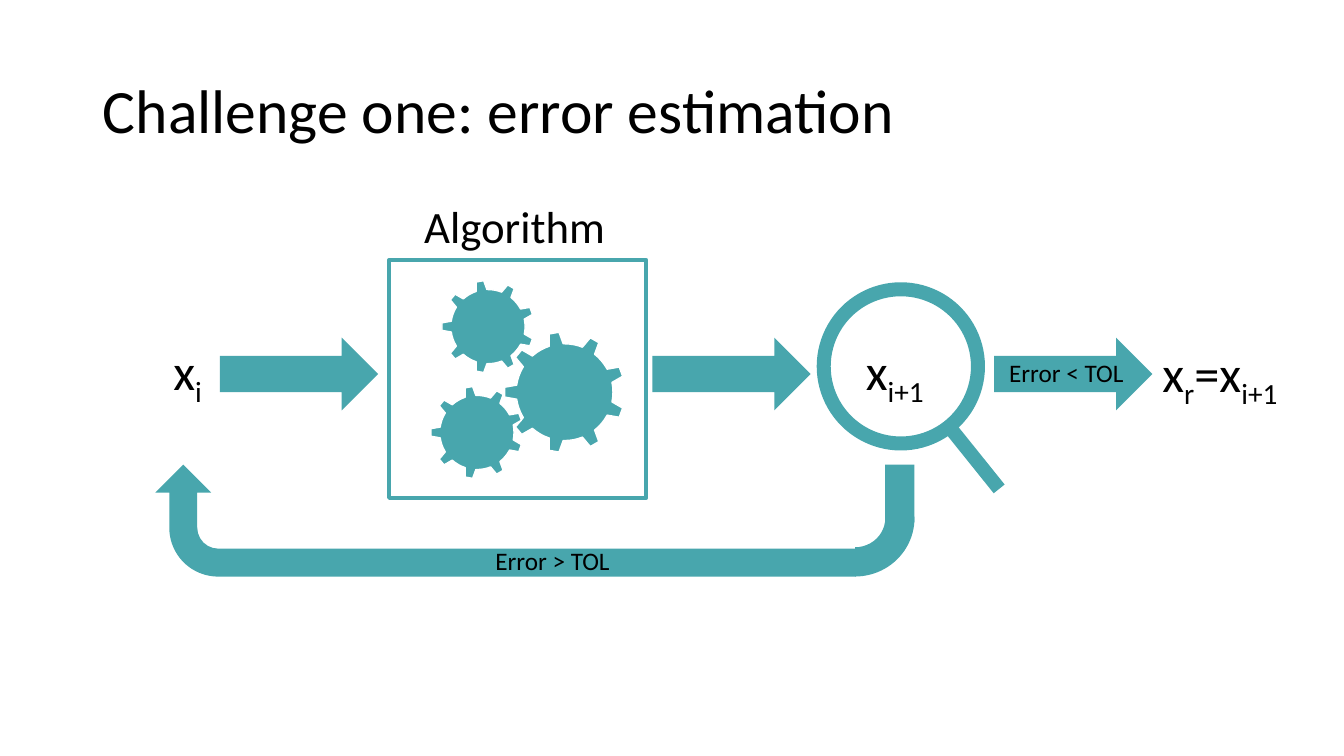
from lxml import etree
from pptx import Presentation
from pptx.dml.color import RGBColor
from pptx.enum.shapes import MSO_CONNECTOR, MSO_SHAPE
from pptx.enum.text import MSO_ANCHOR, PP_ALIGN
from pptx.oxml.ns import qn
from pptx.util import Inches, Pt

TEAL = RGBColor(0x48, 0xA6, 0xAD)
WHITE = RGBColor(0xFF, 0xFF, 0xFF)
BLACK = RGBColor(0, 0, 0)
RECT, OVAL, GEAR = MSO_SHAPE.RECTANGLE, MSO_SHAPE.OVAL, MSO_SHAPE.GEAR_9
ARROW, BENT, ARC = MSO_SHAPE.RIGHT_ARROW, MSO_SHAPE.BENT_ARROW, MSO_SHAPE.BLOCK_ARC
LEFT, MID = PP_ALIGN.LEFT, PP_ALIGN.CENTER
LINE = MSO_CONNECTOR.STRAIGHT
TITLE_ONLY = 5
CELL = 1 / 3  # inches: the slide is 40 columns by 22.5 rows


def grid(*cells):
    return [Inches(n * CELL) for n in cells]


def assign(item, values):
    for key, value in values.items():
        setattr(item, key, value)


class Board:
    """Holds the style and the current slide."""

    def __init__(self, deck):
        self.slide = deck.slides.add_slide(deck.slide_layouts[TITLE_ONLY])
        self.shapes = self.slide.shapes
        self.face = "Calibri"

    def label(self, frame, parts, size, align=LEFT, **layout):
        """Every second part is a subscript."""
        assign(frame, {"word_wrap": True, **layout})
        para = frame.paragraphs[0]
        para.alignment = align
        for n, part in enumerate(parts):
            run = para.add_run()
            run.text = part
            assign(run.font, {"name": self.face, "size": Pt(size)})
            run.font.color.rgb = BLACK
            if n % 2:
                run.font._element.set("baseline", "-25000")
        return para

    def title(self, text, box):
        head = self.shapes.title
        assign(head, dict(zip(("left", "top", "width", "height"), grid(*box))))
        para = self.label(head.text_frame, [text], 44,
                          vertical_anchor=MSO_ANCHOR.MIDDLE)
        para.line_spacing = 0.9

    def text(self, parts, box, size, align=LEFT):
        area = self.shapes.add_textbox(*grid(*box))
        self.label(area.text_frame, parts, size, align)

    def shape(self, kind, box, fill=TEAL, line=None, width=0, turn=0):
        item = self.shapes.add_shape(kind, *grid(*box))
        item.shadow.inherit = False
        item.rotation = turn
        if fill is None:
            item.fill.background()
        else:
            item.fill.solid()
            item.fill.fore_color.rgb = fill
        if line is None:
            item.line.fill.background()
        else:
            item.line.color.rgb = line
            item.line.width = Pt(width)
        return item

    def line(self, ends, width):
        item = self.shapes.add_connector(LINE, *grid(*ends))
        item.line.color.rgb = TEAL
        item.line.width = Pt(width)
        etree.SubElement(item._element.spPr, qn("a:effectLst"))


deck = Presentation()
assign(deck, {"slide_width": Inches(13.33), "slide_height": Inches(7.5)})
board = Board(deck)
board.title("Challenge one: error estimation", (2.76, 1.2, 34.5, 4.35))

# Magnifier
board.shape(OVAL, (24.51, 8.61, 4.59, 4.59), None, TEAL, 10)
board.line((28.26, 12.72, 29.73, 14.55), 10)

# Algorithm box with its gears
board.shape(RECT, (11.58, 7.74, 7.65, 7.08), None, TEAL, 3)
board.text(["Algorithm"], (11.61, 5.76, 7.41, 1.92), 32, MID)
for col, row, side in ((15, 9.87, 3.6), (13.14, 8.34, 2.76), (12.81, 11.49, 2.76)):
    board.shape(GEAR, (col, row, side, side), TEAL, WHITE, 1, 270)

# Forward arrows
for col in (6.54, 19.41, 29.58):
    board.shape(ARROW, (col, 10.05, 4.71, 2.16))

# Return path
board.shape(RECT, (26.34, 13.83, 0.87, 1.71))
board.shape(BENT, (13.38, 5.07, 3.33, 20.85), turn=270)
bend = board.shape(ARC, (23.7, 13.65, 3.48, 3.54), turn=90)
for n, value in enumerate((161.22, 0, 0.25)):
    bend.adjustments[n] = value

# Values and conditions
for parts, col, row, wide in (
    (("x", "i"), 4.86, 9.96, 2.37),
    (("x", "i+1"), 25.47, 9.96, 4.11),
    (("x", "r", "=x", "i+1"), 34.29, 10.02, 4.71),
):
    board.text(parts, (col, row, wide, 2.13), 36)
board.text(["Error < TOL"], (29.73, 10.5, 4.83, 1.2), 18)
board.text(["Error > TOL"], (13.08, 16.08, 6.72, 1.2), 18, MID)

deck.save("out.pptx")
